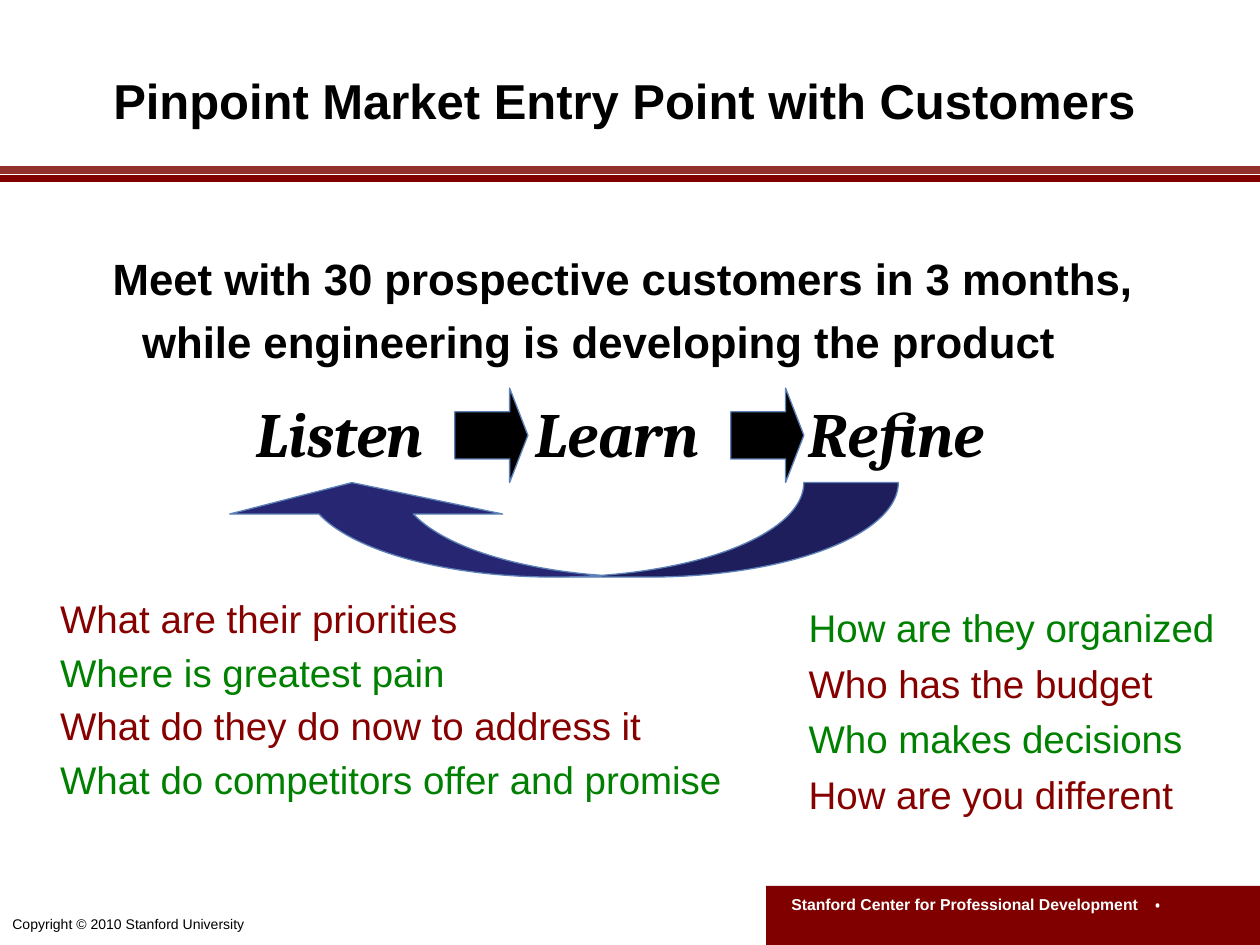
from dataclasses import dataclass

from lxml import etree
from pptx import Presentation
from pptx.dml.color import RGBColor
from pptx.enum.shapes import MSO_CONNECTOR, MSO_SHAPE
from pptx.enum.text import MSO_ANCHOR, PP_ALIGN
from pptx.oxml.ns import qn
from pptx.util import Inches, Pt

LEFT, CENTER = PP_ALIGN.LEFT, PP_ALIGN.CENTER
TOP, MIDDLE = MSO_ANCHOR.TOP, MSO_ANCHOR.MIDDLE
STRAIGHT = MSO_CONNECTOR.STRAIGHT
RECTANGLE = MSO_SHAPE.RECTANGLE
RIGHT_ARROW = MSO_SHAPE.RIGHT_ARROW
CURVED_UP_ARROW = MSO_SHAPE.CURVED_UP_ARROW


@dataclass(frozen=True)
class Theme:
    sans: str = "Arial"
    serif: str = "Cambria"
    black: str = "000000"
    white: str = "FFFFFF"
    maroon: str = "800000"
    brick: str = "92302E"
    red: str = "860000"
    green: str = "008000"
    navy: str = "262673"
    outline: str = "5E82B8"
    title: float = 28
    headline: float = 25
    steps: float = 36
    question: float = 22
    footer: float = 9
    copyright: float = 8


class SlideBuilder:
    def __init__(self, slide, theme):
        self.slide = slide
        self.theme = theme

    def rule(self, y, color, weight):
        line = self.slide.shapes.add_connector(
            STRAIGHT, Inches(0), Inches(y), Inches(10), Inches(y))
        line.line.color.rgb = RGBColor.from_string(color)
        line.line.width = Pt(weight)
        etree.SubElement(line._element.spPr, qn("a:effectLst"))

    def shape(self, kind, area, fill, outline=None, adjustments=(), flip=False):
        shape = self.slide.shapes.add_shape(kind, *map(Inches, area))
        shape.shadow.inherit = False
        shape.fill.solid()
        shape.fill.fore_color.rgb = RGBColor.from_string(fill)
        if outline:
            shape.line.color.rgb = RGBColor.from_string(outline)
            shape.line.width = Pt(0.75)
        else:
            shape.line.fill.background()
        for index, value in enumerate(adjustments):
            shape.adjustments[index] = value
        if flip:
            shape._element.spPr.xfrm.set("flipH", "1")
        return shape

    def box(self, area, anchor=TOP):
        frame = self.slide.shapes.add_textbox(*map(Inches, area)).text_frame
        frame.word_wrap = True
        frame.vertical_anchor = anchor
        return frame

    def para(self, frame, first=False, align=LEFT, tabs=()):
        para = frame.paragraphs[0] if first else frame.add_paragraph()
        para.alignment = align
        if tabs:
            tab_list = etree.SubElement(para._p.get_or_add_pPr(), qn("a:tabLst"))
            for position in tabs:
                etree.SubElement(tab_list, qn("a:tab"),
                                 pos=str(Inches(position)), algn="l")
        return para

    def span(self, para, text, size, color, bold=False, italic=False, font=None):
        span = para.add_run()
        span.text = text
        span.font.name = font or self.theme.sans
        span.font.size = Pt(size)
        span.font.bold = bold
        span.font.italic = italic
        span.font.color.rgb = RGBColor.from_string(color)

    def questions(self, area, lines, colors, gap):
        frame = self.box(area)
        for index, text in enumerate(lines):
            para = self.para(frame, first=index == 0)
            para.line_spacing = 0.75
            para.space_after = Pt(gap)
            self.span(para, text, self.theme.question, colors[index % 2])


def main():
    theme = Theme()
    deck = Presentation()
    deck.slide_width, deck.slide_height = Inches(10), Inches(7.5)
    page = SlideBuilder(deck.slides.add_slide(deck.slide_layouts[6]), theme)

    # Footer banner and copyright
    page.rule(1.42, theme.maroon, 4)
    banner = page.shape(RECTANGLE, (6.08, 7.03, 3.92, 0.49), theme.maroon).text_frame
    banner.word_wrap = True
    banner.vertical_anchor = TOP
    banner.margin_left, banner.margin_top = Inches(0.2), Inches(0.07)
    para = page.para(banner, first=True, tabs=[2.88])
    page.span(para, "Stanford Center for Professional Development",
              theme.footer, theme.white, bold=True)
    page.span(para, "\t•", theme.footer, theme.white, bold=True, font=theme.serif)
    para = page.para(page.box((0, 7.22, 4.67, 0.23)), first=True)
    page.span(para, "Copyright © 2010 Stanford University",
              theme.copyright, theme.black)

    # Title
    para = page.para(page.box((0.08, 0.17, 9.75, 1.25), MIDDLE),
                     first=True, align=CENTER)
    page.span(para, "Pinpoint Market Entry Point with Customers",
              theme.title, theme.black, bold=True)

    # Headline, second line shifted slightly left
    headline = page.box((0.44, 1.95, 9, 1.05))
    para = page.para(headline, first=True, align=CENTER)
    page.span(para, "Meet with 30 prospective customers in 3 months,",
              theme.headline, theme.black, bold=True)
    para = page.para(headline, align=CENTER)
    para.space_before = Pt(6)
    para._p.get_or_add_pPr().set("marR", str(Inches(0.38)))
    page.span(para, "while engineering is developing the product",
              theme.headline, theme.black, bold=True)

    # Questions on the left
    colors = (theme.red, theme.green)
    page.questions((0.38, 4.76, 5.9, 1.7),
                   ["What are their priorities", "Where is greatest pain",
                    "What do they do now to address it",
                    "What do competitors offer and promise"], colors, 10.8)

    # Listen, learn, refine loop
    para = page.para(page.box((1.94, 3.08, 6.15, 0.71)), first=True,
                     tabs=[2.21, 4.38])
    page.span(para, "Listen\tLearn\tRefine", theme.steps, theme.black,
              bold=True, italic=True, font=theme.serif)
    page.shape(CURVED_UP_ARROW, (1.71, 3.83, 5.42, 0.75), theme.navy,
               theme.outline, (1.444, 2.889, 0.333), flip=True)
    for left in (3.61, 5.8):
        page.shape(RIGHT_ARROW, (left, 3.08, 0.58, 0.75), theme.black,
                   theme.outline, (0.5, 0.25))

    # Questions on the right
    page.questions((6.32, 4.83, 3.55, 1.72),
                   ["How are they organized", "Who has the budget",
                    "Who makes decisions", "How are you different"],
                   colors[::-1], 12)

    # Upper rule below the title
    page.rule(1.35, theme.brick, 5)

    deck.save("out.pptx")


if __name__ == "__main__":
    main()
